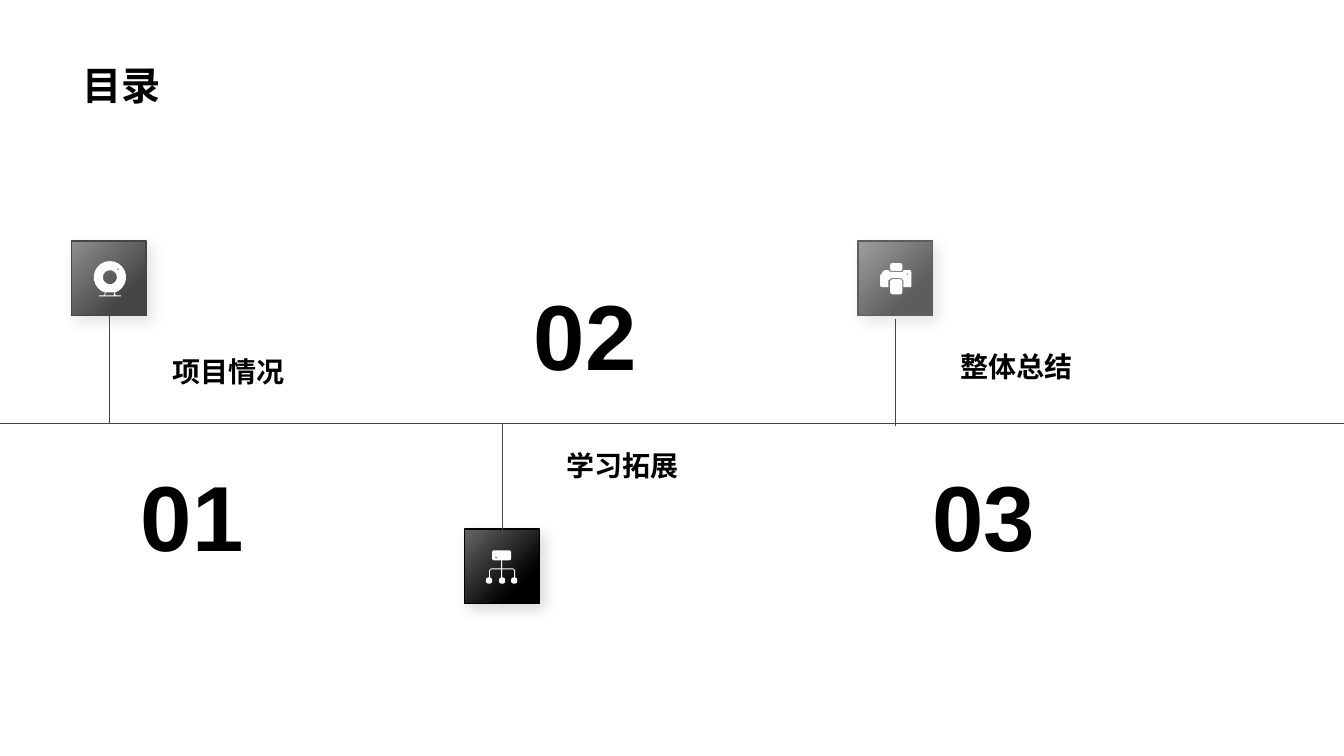
from math import cos, radians, sin

from lxml import etree
from pptx import Presentation
from pptx.dml.color import RGBColor
from pptx.enum.shapes import MSO_CONNECTOR as CONNECTOR, MSO_SHAPE as SHAPE
from pptx.enum.text import MSO_ANCHOR as ANCHOR, PP_ALIGN as ALIGN
from pptx.oxml.ns import qn
from pptx.util import Inches, Pt

BLACK, WHITE, RULE = "000000", "FFFFFF", "454545"
SLIDE_W, SLIDE_H, AXIS_Y = 13.33, 7.5, 4.2
TILE, FIRST_TILE_X, PITCH = 0.74, 0.71, 3.9

TITLE = ("目录", (0.72, 0.14, 11.88, 0.98))
# number box, heading box, tile top, stem ends, tile gradient
SECTIONS = [
    dict(number="01", number_box=(1.09, 4.21, 1.63, 1.8),
         heading="项目情况", heading_box=(1.61, 2.39, 3.17, 1.51), anchor=ANCHOR.BOTTOM,
         tile_y=2.39, stem=(3.14, 4.2), shades=("8F8F8F", "454545"), icon="camera"),
    dict(number="02", number_box=(4.96, 2.41, 1.69, 1.79),
         heading="学习拓展", heading_box=(5.52, 4.4, 3.17, 1.62), anchor=ANCHOR.TOP,
         tile_y=5.25, stem=(4.21, 5.28), shades=("666666", "000000"), icon="network"),
    dict(number="03", number_box=(8.91, 4.21, 1.69, 1.8),
         heading="整体总结", heading_box=(9.43, 2.34, 3.17, 1.51), anchor=ANCHOR.BOTTOM,
         tile_y=2.39, stem=(3.16, 4.23), shades=("9E9E9E", "5D5D5D"), icon="printer"),
]


def arc(x, y, radius, steps, start=0, end=360):
    """Points along an arc; angles run clockwise from the right."""
    angles = [radians(start + (end - start) * i / steps) for i in range(steps + 1)]
    return [(x + radius * cos(a), y + radius * sin(a)) for a in angles]


def rounded(x, y, w, h, r=0.02):
    """Outline of a rectangle with softened corners."""
    corners = [(x + w - r, y + h - r), (x + r, y + h - r), (x + r, y + r), (x + w - r, y + r)]
    return [point for i, (cx, cy) in enumerate(corners)
            for point in arc(cx, cy, r, 2, 90 * i, 90 * i + 90)]


# Outlines measured from the tile corner; an outline inside another is a hole.
ICONS = {
    "camera": [
        arc(0.38, 0.36, 0.16, 20, 106, 434)
        + [(0.44, 0.54), (0.49, 0.54), (0.49, 0.55), (0.27, 0.55), (0.27, 0.54), (0.32, 0.54)],
        [(0.34, 0.51), (0.42, 0.51), (0.42, 0.54), (0.33, 0.54)],
        arc(0.38, 0.36, 0.07, 14),
        arc(0.46, 0.28, 0.01, 4),
    ],
    "network": [
        rounded(0.27, 0.21, 0.19, 0.1),
        arc(0.31, 0.28, 0.01, 4),
        [(0.36, 0.31), (0.37, 0.31), (0.37, 0.39), (0.48, 0.39), (0.5, 0.41), (0.5, 0.48),
         (0.49, 0.48), (0.49, 0.41), (0.48, 0.4), (0.37, 0.4), (0.37, 0.48), (0.36, 0.48),
         (0.36, 0.4), (0.26, 0.4), (0.25, 0.41), (0.25, 0.48), (0.24, 0.48), (0.24, 0.41),
         (0.26, 0.39), (0.36, 0.39)],
    ] + [rounded(x, 0.48, 0.06, 0.06) for x in (0.21, 0.34, 0.46)],
    "printer": [
        rounded(0.32, 0.22, 0.12, 0.08),
        rounded(0.32, 0.38, 0.12, 0.15),
        [(0.3, 0.29), (0.31, 0.3), (0.33, 0.31), (0.43, 0.31), (0.45, 0.3), (0.45, 0.29),
         (0.52, 0.29), (0.53, 0.31), (0.53, 0.45), (0.52, 0.46), (0.45, 0.46), (0.45, 0.39),
         (0.43, 0.37), (0.33, 0.37), (0.3, 0.39), (0.3, 0.46), (0.24, 0.46), (0.22, 0.45),
         (0.22, 0.34), (0.23, 0.33), (0.25, 0.3), (0.27, 0.29)],
        arc(0.49, 0.33, 0.01, 4),
    ],
}


def color(hex_code):
    return RGBColor.from_string(hex_code)


def add_text(slide, text, box, size, anchor, align=ALIGN.LEFT, wrap=True):
    frame = slide.shapes.add_textbox(*map(Inches, box)).text_frame
    frame.word_wrap = wrap
    frame.vertical_anchor = anchor
    paragraph = frame.paragraphs[0]
    paragraph.alignment = align
    run = paragraph.add_run()
    run.text = text
    run.font.name, run.font.size, run.font.bold = "Arial", Pt(size), True
    run.font.color.rgb = color(BLACK)


def add_rule(slide, x1, y1, x2, y2):
    rule = slide.shapes.add_connector(CONNECTOR.STRAIGHT, *map(Inches, (x1, y1, x2, y2)))
    rule.line.color.rgb = color(RULE)
    rule.line.width = Pt(0.5)
    etree.SubElement(rule._element.spPr, qn("a:effectLst"))


def add_tile(slide, x, y, shades):
    """Gradient square with a soft shadow in its darker shade."""
    tile = slide.shapes.add_shape(SHAPE.RECTANGLE, *map(Inches, (x, y, TILE, TILE)))
    tile.fill.gradient()
    tile.fill.gradient_angle = 315
    for stop, shade, position in zip(tile.fill.gradient_stops, shades, (0, 0.75)):
        stop.color.rgb = color(shade)
        stop.position = position
    tile.line.color.rgb = color(shades[1])
    tile.line.width = Pt(1)
    tile.shadow.inherit = False
    effects = tile._element.spPr.find(qn("a:effectLst"))
    shadow = etree.SubElement(effects, qn("a:outerShdw"), blurRad=str(Pt(10)), dist=str(Pt(5)),
                              dir=str(45 * 60000), algn="tl", rotWithShape="0")
    tint = etree.SubElement(shadow, qn("a:srgbClr"), val=shades[1])
    etree.SubElement(tint, qn("a:alpha"), val="15000")


def add_icon(slide, x, y, outlines):
    placed = [[(Inches(x + dx), Inches(y + dy)) for dx, dy in outline] for outline in outlines]
    builder = slide.shapes.build_freeform(*placed[0][0])
    for i, points in enumerate(placed):
        if i:
            builder.move_to(*points[0])
        builder.add_line_segments(points[1:], close=True)
    icon = builder.convert_to_shape()
    icon.fill.solid()
    icon.fill.fore_color.rgb = color(WHITE)
    icon.line.fill.background()
    icon.shadow.inherit = False


def main():
    deck = Presentation()
    deck.slide_width, deck.slide_height = Inches(SLIDE_W), Inches(SLIDE_H)
    slide = deck.slides.add_slide(deck.slide_layouts[6])

    for i, section in enumerate(SECTIONS):
        x, y = FIRST_TILE_X + PITCH * i, section["tile_y"]
        stem_x = x + TILE / 2
        stem_top, stem_bottom = section["stem"]
        add_text(slide, section["number"], section["number_box"], 66, ANCHOR.MIDDLE,
                 ALIGN.CENTER, wrap=False)
        add_text(slide, section["heading"], section["heading_box"], 20, section["anchor"])
        add_tile(slide, x, y, section["shades"])
        add_icon(slide, x, y, ICONS[section["icon"]])
        add_rule(slide, stem_x, stem_top, stem_x, stem_bottom)

    add_rule(slide, 0, AXIS_Y, SLIDE_W, AXIS_Y)
    add_text(slide, *TITLE, 28, ANCHOR.BOTTOM)
    deck.save("out.pptx")


if __name__ == "__main__":
    main()
